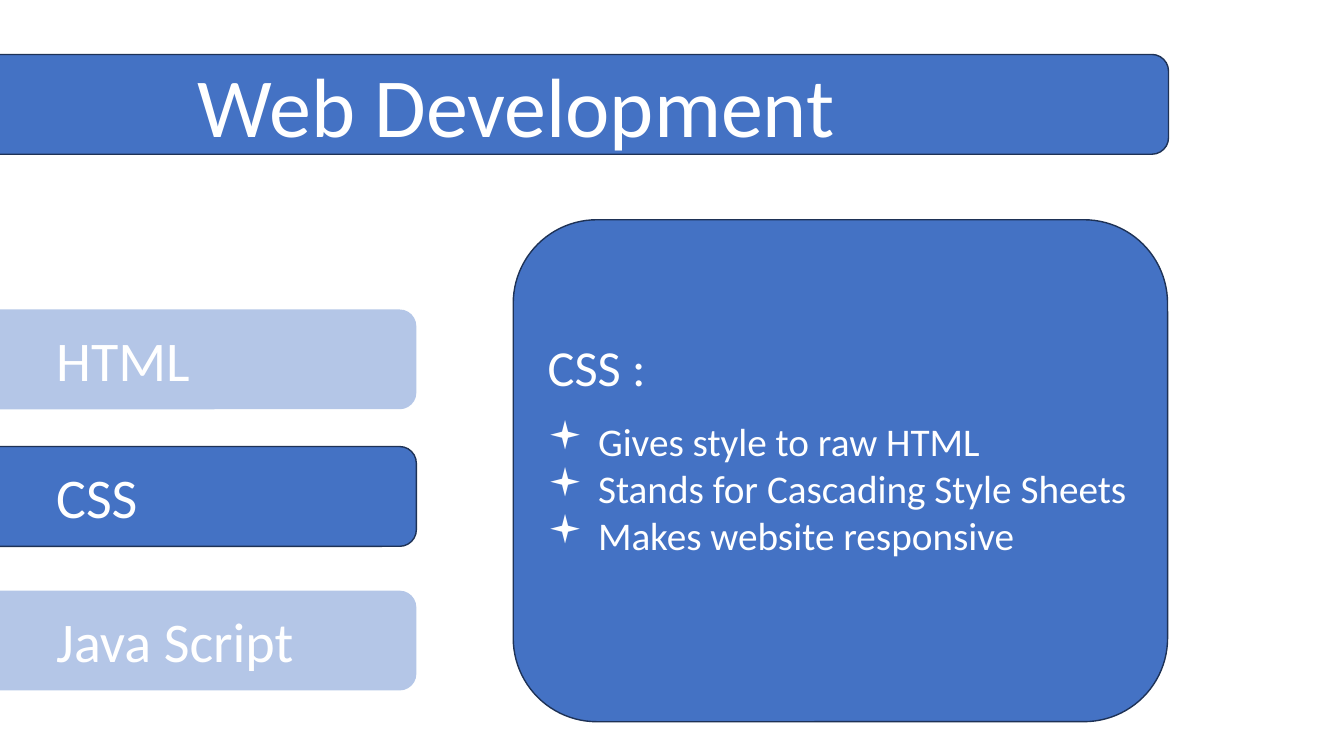
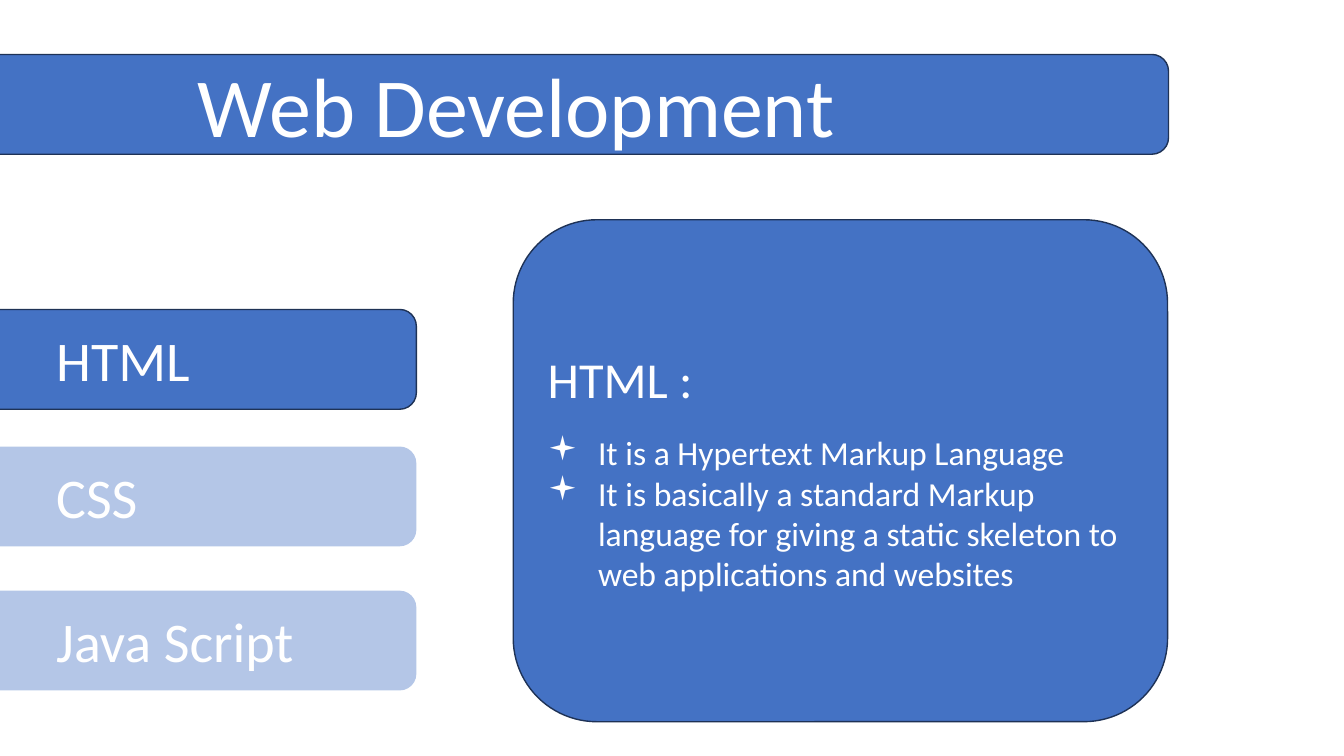
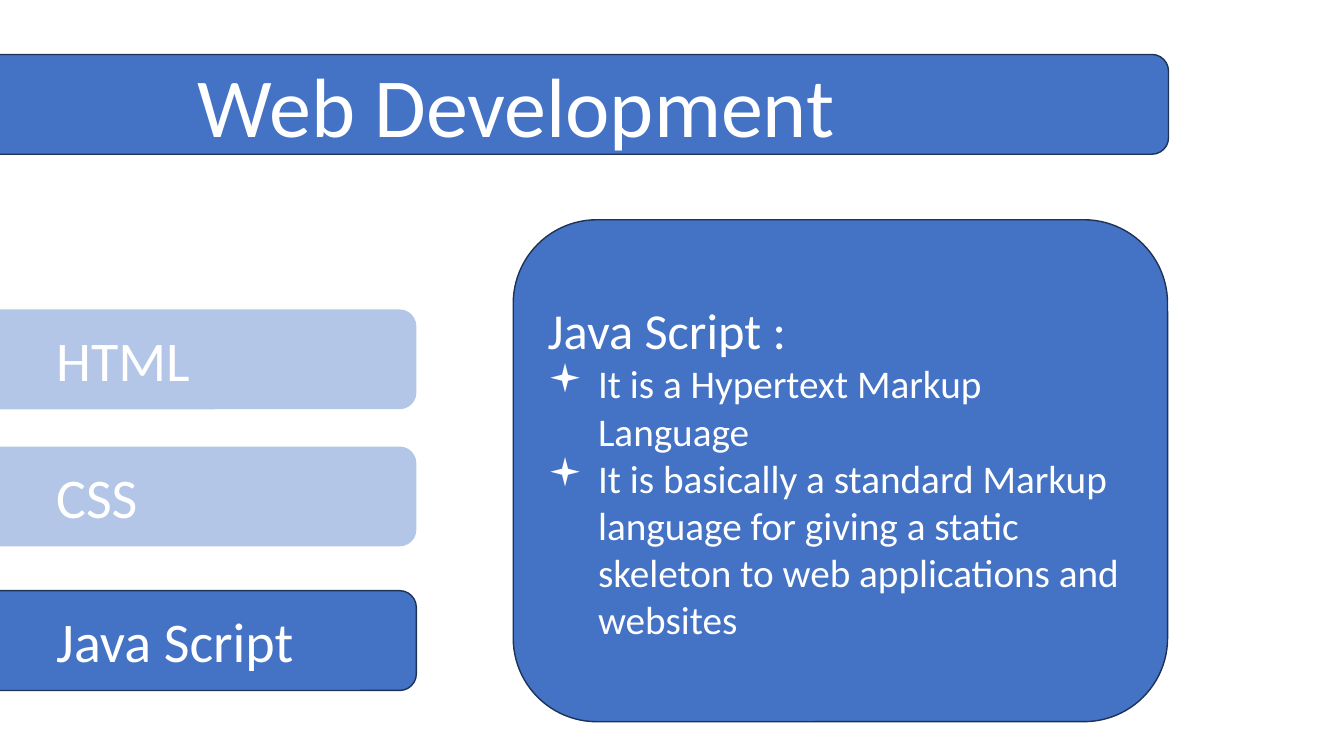
from dataclasses import dataclass

from lxml import etree
from pptx import Presentation
from pptx import util as u
from pptx.dml.color import RGBColor
from pptx.enum import shapes, text
from pptx.oxml import ns
from pptx.shapes.autoshape import Shape
from pptx.slide import Slide
from pptx.text.text import TextFrame, _Paragraph


@dataclass(frozen=True)
class Theme:
    font: str = "Calibri"
    blue: RGBColor = RGBColor(0x44, 0x72, 0xC4)
    outline: RGBColor = RGBColor(0x1E, 0x32, 0x56)
    white: RGBColor = RGBColor(0xFF, 0xFF, 0xFF)
    faded_alpha: int = 40
    title_size: int = 60
    tab_size: int = 40
    heading_size: int = 36


@dataclass(frozen=True)
class Box:
    left: float
    top: float
    width: float
    height: float

    def lengths(self) -> tuple[u.Length, ...]:
        return tuple(u.Inches(n) for n in (self.left, self.top, self.width, self.height))


@dataclass(frozen=True)
class Topic:
    name: str
    points: tuple[str, ...]
    point_size: int
    heading_gap: float = 0
    bottom_inset: float = 0.05


THEME = Theme()
BAND = Box(-1.11, 0.54, 12.7, 0.99)
TITLE = Box(-1.11, 0.54, 12.46, 0.99)
PANEL = Box(5.09, 2.18, 6.49, 4.98)
TABS = {
    name: Box(-0.34, top, 4.47, 0.99)
    for name, top in (("HTML", 3.07), ("CSS", 4.43), ("Java Script", 5.86))
}
MARKUP_POINTS = (
    "It is a Hypertext Markup Language",
    "It is basically a standard Markup language for giving a static skeleton to "
    "web applications and websites",
)
TOPICS = (
    Topic(
        "CSS",
        (
            "Gives style to raw HTML",
            "Stands for Cascading Style Sheets",
            "Makes website responsive",
        ),
        point_size=28,
        heading_gap=14.6,
        bottom_inset=0.52,
    ),
    Topic("HTML", MARKUP_POINTS, point_size=24, heading_gap=17),
    Topic("Java Script", MARKUP_POINTS, point_size=28),
)


def write(paragraph: _Paragraph, wording: str, size: int,
          align: text.PP_ALIGN = text.PP_ALIGN.LEFT) -> None:
    paragraph.alignment = align
    run = paragraph.add_run()
    run.text = wording
    run.font.name = THEME.font
    run.font.size = u.Pt(size)
    run.font.color.rgb = THEME.white


def add_bullet(paragraph: _Paragraph) -> None:
    properties = paragraph._p.get_or_add_pPr()
    properties.set("marL", str(u.Inches(0.5)))
    properties.set("indent", str(u.Inches(-0.5)))
    etree.SubElement(properties, ns.qn("a:buFont"), typeface="Wingdings")
    etree.SubElement(properties, ns.qn("a:buChar"), char="▪")


def prepare(frame: TextFrame) -> None:
    frame.word_wrap = True
    frame.auto_size = text.MSO_AUTO_SIZE.NONE
    frame.vertical_anchor = text.MSO_ANCHOR.MIDDLE


def add_card(slide: Slide, box: Box, active: bool = True) -> Shape:
    card = slide.shapes.add_shape(shapes.MSO_SHAPE.ROUNDED_RECTANGLE, *box.lengths())
    card.shadow.inherit = False
    card.fill.solid()
    card.fill.fore_color.rgb = THEME.blue
    if active:
        card.line.color.rgb = THEME.outline
        card.line.width = u.Pt(1)
    else:
        card.line.fill.background()
        colour = card.fill._xPr.find(".//" + ns.qn("a:srgbClr"))
        etree.SubElement(colour, ns.qn("a:alpha"), val=str(THEME.faded_alpha * 1000))
    prepare(card.text_frame)
    return card


def add_title(slide: Slide) -> None:
    title = slide.shapes.title
    band = add_card(slide, BAND)
    title._element.addprevious(band._element)
    title.left, title.top, title.width, title.height = TITLE.lengths()
    prepare(title.text_frame)
    write(title.text_frame.paragraphs[0], "Web Development", THEME.title_size,
          text.PP_ALIGN.CENTER)


def add_tabs(slide: Slide, active_name: str) -> None:
    for name, box in TABS.items():
        frame = add_card(slide, box, name == active_name).text_frame
        frame.margin_left = u.Inches(0.85)
        write(frame.paragraphs[0], name, THEME.tab_size)


def add_panel(slide: Slide, topic: Topic) -> None:
    frame = add_card(slide, PANEL).text_frame
    frame.margin_bottom = u.Inches(topic.bottom_inset)
    heading = frame.paragraphs[0]
    write(heading, f"{topic.name} :", THEME.heading_size)
    heading.space_after = u.Pt(topic.heading_gap)
    for point in topic.points:
        paragraph = frame.add_paragraph()
        write(paragraph, point, topic.point_size)
        add_bullet(paragraph)


def main() -> None:
    deck = Presentation()
    deck.slide_width, deck.slide_height = u.Inches(13.33), u.Inches(7.5)
    title_only = deck.slide_layouts.get_by_name("Title Only")
    for topic in TOPICS:
        slide = deck.slides.add_slide(title_only)
        add_title(slide)
        add_tabs(slide, topic.name)
        add_panel(slide, topic)
    deck.save("out.pptx")


if __name__ == "__main__":
    main()
